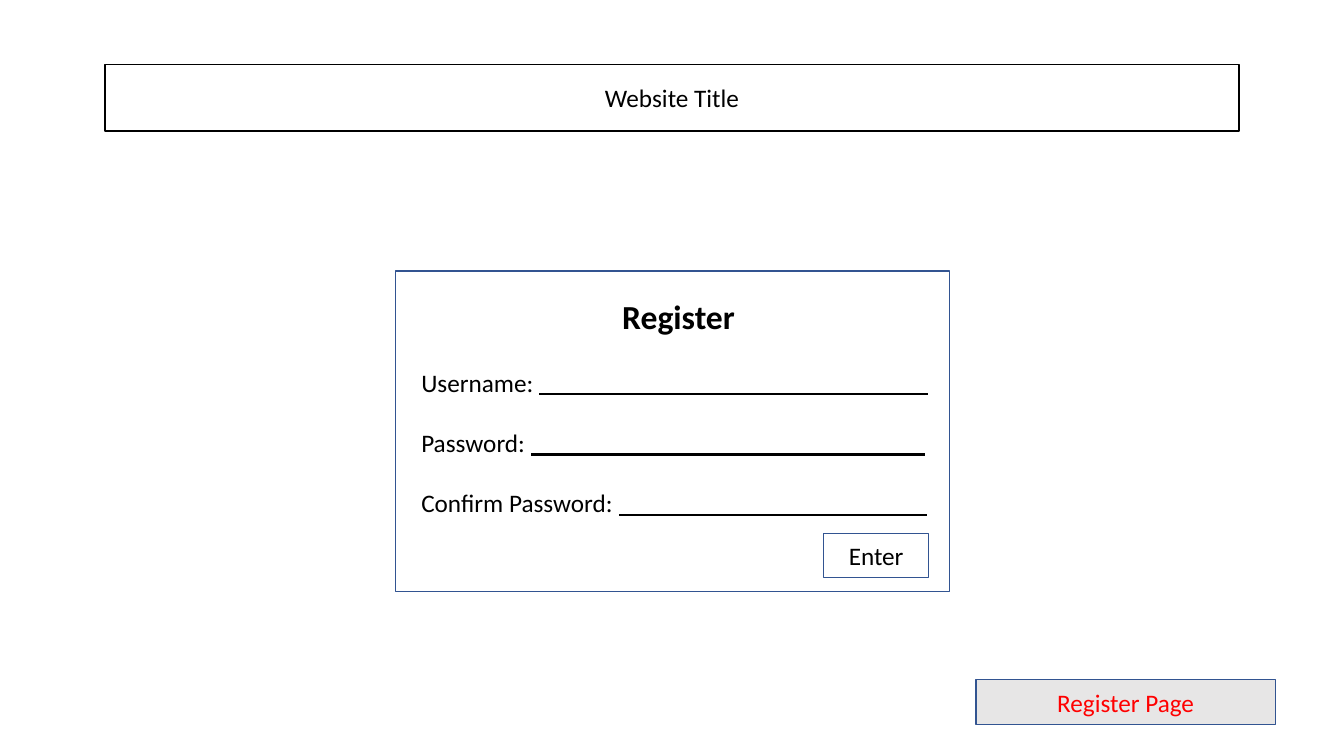
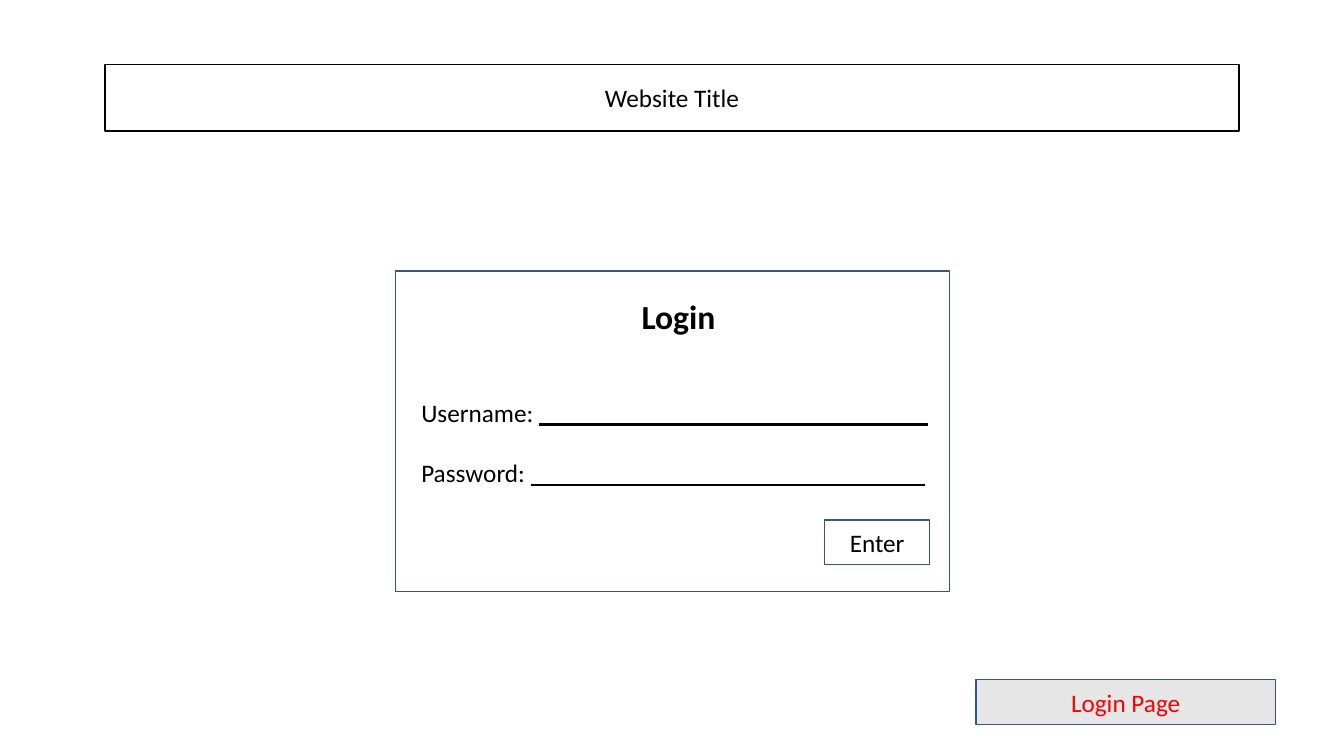
"""Build the register and login page wireframes."""
import pptx
import pptx.util
import pptx.dml.color
import pptx.enum.shapes
import pptx.enum.text
import pptx.oxml.ns
import lxml.etree

SITE_TITLE = "Website Title"
USERNAME = ("Username:", 5.35, 9.2)
PASSWORD = ("Password:", 5.27, 9.17)
CONFIRM = ("Confirm Password:", 6.14, 9.19)
PAGES = [
    {"heading": "Register", "fields": [USERNAME, PASSWORD, CONFIRM],
     "first_row": 0, "enter": (8.17, 5.29)},
    {"heading": "Login", "fields": [USERNAME, PASSWORD],
     "first_row": 0.5, "enter": (8.18, 5.16)},
]

COLORS = {"ink": "000000", "paper": "FFFFFF", "outline": "325491",
          "tag": "E7E6E6", "tag_text": "FF0000"}
FONT = "Calibri"
BODY, HEADING = 18, 24
BANNER = (1.04, 0.64, 11.25, 0.66)
PANEL = (3.92, 2.69, 5.5, 3.18)
HEADING_BOX = (5.73, 2.89, 2, 0.5)
FIELD_LEFT, FIELD_TOP, FIELD_WIDTH = 4.08, 3.59, 5.32
ROW_PITCH, RULE_DROP = 0.6, 0.32
LINE_HEIGHT = 0.3
ENTER_SIZE = (1.04, 0.44)
TAG = (9.68, 6.74, 2.97, 0.45)

inch = pptx.util.Inches
CENTER = pptx.enum.text.PP_ALIGN.CENTER
LEFT = pptx.enum.text.PP_ALIGN.LEFT


def color(name):
    return pptx.dml.color.RGBColor.from_string(COLORS[name])


def write(paragraph, words, ink="ink", size=BODY, bold=False, align=CENTER):
    paragraph.alignment = align
    run = paragraph.add_run()
    run.text = words
    run.font.name = FONT
    run.font.size = pptx.util.Pt(size)
    run.font.bold = bold
    run.font.color.rgb = color(ink)


def add_box(slide, place, words=None, fill="paper", outline="outline", ink="ink"):
    box = slide.shapes.add_shape(
        pptx.enum.shapes.MSO_SHAPE.RECTANGLE, *map(inch, place))
    box.shadow.inherit = False
    if fill:
        box.fill.solid()
        box.fill.fore_color.rgb = color(fill)
    else:
        box.fill.background()
    box.line.color.rgb = color(outline)
    box.line.width = pptx.util.Pt(1)
    if words:
        box.text_frame.vertical_anchor = pptx.enum.text.MSO_ANCHOR.MIDDLE
        write(box.text_frame.paragraphs[0], words, ink)


def add_text(slide, place):
    frame = slide.shapes.add_textbox(*map(inch, place)).text_frame
    frame.word_wrap = True
    return frame


def add_rule(slide, start, end, y):
    rule = slide.shapes.add_connector(
        pptx.enum.shapes.MSO_CONNECTOR.STRAIGHT,
        inch(start), inch(y), inch(end), inch(y))
    rule.line.color.rgb = color("ink")
    rule.line.width = pptx.util.Pt(1.75)
    lxml.etree.SubElement(rule._element.spPr, pptx.oxml.ns.qn("a:effectLst"))


def add_fields(slide, fields, first_row):
    top = FIELD_TOP + first_row * ROW_PITCH
    height = len(fields) * ROW_PITCH
    labels = add_text(slide, (FIELD_LEFT, top, FIELD_WIDTH, height))
    for row, (label, start, end) in enumerate(fields):
        paragraph = labels.add_paragraph() if row else labels.paragraphs[0]
        paragraph.space_after = inch(ROW_PITCH - LINE_HEIGHT)
        write(paragraph, label, align=LEFT)
        add_rule(slide, start, end, top + RULE_DROP + row * ROW_PITCH)


def add_page(deck, page):
    slide = deck.slides.add_slide(deck.slide_layouts[6])
    add_box(slide, BANNER, SITE_TITLE, outline="ink")
    add_box(slide, PANEL, fill=None)
    heading = add_text(slide, HEADING_BOX)
    write(heading.paragraphs[0], page["heading"], size=HEADING, bold=True)
    add_fields(slide, page["fields"], page["first_row"])
    add_box(slide, page["enter"] + ENTER_SIZE, "Enter")
    add_box(slide, TAG, page["heading"] + " Page", fill="tag", ink="tag_text")


deck = pptx.Presentation()
deck.slide_width, deck.slide_height = inch(13.33), inch(7.5)
for page in PAGES:
    add_page(deck, page)
deck.save("out.pptx")
